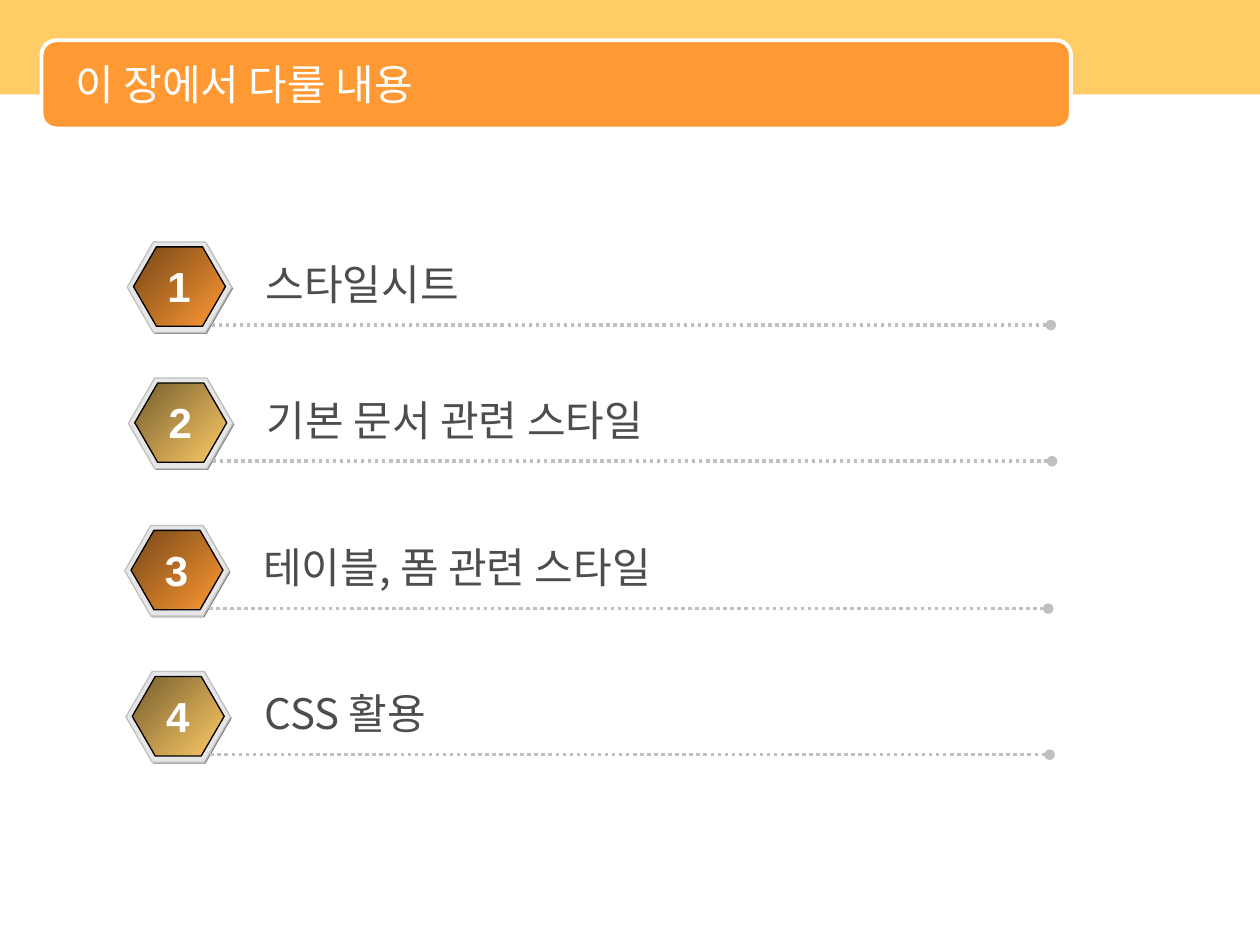
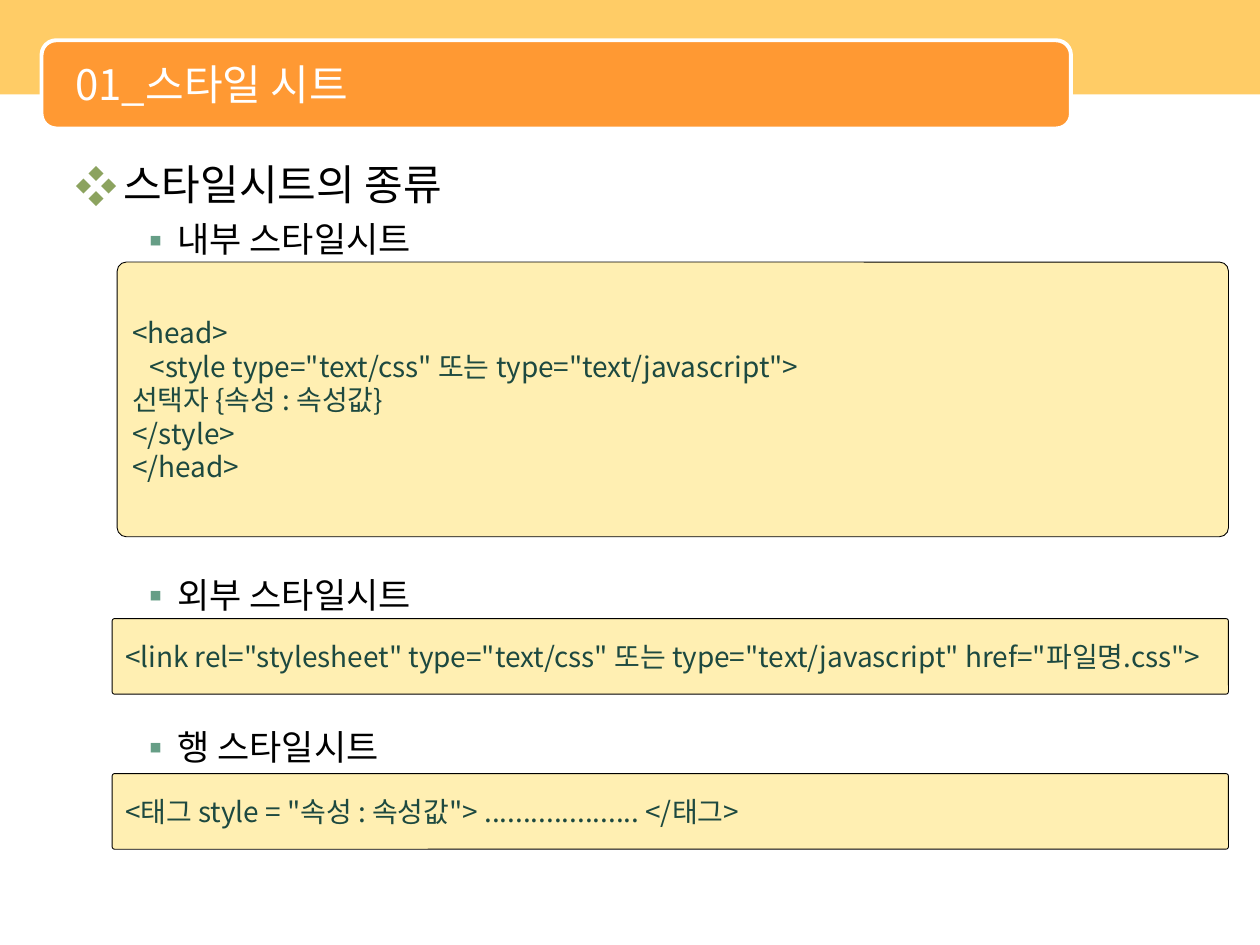
from pptx import Presentation
from pptx.dml.color import RGBColor
from pptx.enum.dml import MSO_LINE
from pptx.enum.shapes import MSO_CONNECTOR, MSO_SHAPE
from pptx.enum.text import MSO_ANCHOR, PP_ALIGN
from pptx.oxml.ns import qn
from pptx.util import Inches, Pt
from lxml.etree import SubElement

# Content
AGENDA_TITLE = "이 장에서 다룰 내용"
AGENDA = [  # topic, left and top of its badge
    ("스타일시트", 1.01, 1.92),
    ("기본 문서 관련 스타일", 1.02, 3.0),
    ("테이블, 폼 관련 스타일", 0.99, 4.17),
    ("CSS 활용", 1.0, 5.33),
]
STYLES_TITLE = "01_스타일 시트"
STYLES_HEADING = "스타일시트의 종류"
STYLE_KINDS = [  # kind, lines down from the previous entry
    ("내부 스타일시트", 1),
    ("외부 스타일시트", 7),
    ("행 스타일시트", 3),
]
CODE_BOXES = [  # box, then code lines with their indent
    ((0.93, 2.08, 8.82, 2.18), [
        ("<head>", 0),
        ('<style type="text/css" 또는 type="text/javascript">', 0.14),
        ("선택자 {속성 : 속성값}", 0),
        ("</style>", 0),
        ("</head>", 0),
    ]),
    ((0.89, 4.91, 8.86, 0.6), [
        ('<link rel="stylesheet" type="text/css" 또는 type="text/javascript" '
         'href="파일명.css">', 0),
    ]),
    ((0.89, 6.14, 8.86, 0.6), [
        ('<태그 style = "속성 : 속성값"> .................... </태그>', 0),
    ]),
]

# Shared look
WHITE = RGBColor(0xFF, 0xFF, 0xFF)
BLACK = RGBColor(0, 0, 0)
YELLOW = RGBColor(0xFF, 0xCC, 0x66)
ORANGE = RGBColor(0xFF, 0x99, 0x33)
DARK_YELLOW = RGBColor(0x76, 0x5E, 0x2F)
DARK_ORANGE = RGBColor(0x76, 0x47, 0x18)
SHADE = RGBColor(0x80, 0x80, 0x80)
RIM = RGBColor(0xE6, 0xE6, 0xE6)
SILVER = RGBColor(0xC0, 0xC0, 0xC0)
TOPIC_GRAY = RGBColor(0x4D, 0x4D, 0x4D)
CODE_FILL = RGBColor(0xFF, 0xCC, 0x00)
CODE_GREEN = RGBColor(0x1D, 0x49, 0x40)
BADGE_GRADIENTS = [(DARK_ORANGE, ORANGE), (DARK_YELLOW, YELLOW)]
KOREAN, LATIN = "Noto Sans CJK KR", "Arial"
LINE_HEIGHT = 1.2
KIND_SIZE, KIND_GAP = 20, 5

TITLE = dict(size=Pt(24), name=KOREAN, color=WHITE)
TOPIC = dict(TITLE, color=TOPIC_GRAY)
NUMBER = dict(TITLE, name=LATIN, bold=True)
HEADING = dict(TITLE, color=BLACK)
KIND = dict(HEADING, size=Pt(KIND_SIZE))
CODE = dict(size=Pt(16), name=KOREAN, color=CODE_GREEN)


def apply_format(target, values):
    for key, value in values.items():
        setattr(target, key, value)


def write(paragraph, text, style, **layout):
    run = paragraph.add_run()
    run.text = text
    apply_format(run.font, {k: v for k, v in style.items() if k != "color"})
    run.font.color.rgb = style["color"]
    SubElement(run.font._element, qn("a:ea"), typeface=style["name"])
    apply_format(paragraph, layout)


def next_paragraph(frame, index):
    return frame.add_paragraph() if index else frame.paragraphs[0]


def add_text(slide, box, **layout):
    frame = slide.shapes.add_textbox(*map(Inches, box)).text_frame
    apply_format(frame, dict(dict(word_wrap=True), **layout))
    return frame


def add_panel(slide, kind, box, fill=None, line=None, weight=0.75, adjust=None):
    panel = slide.shapes.add_shape(kind, *map(Inches, box))
    panel.shadow.inherit = False
    if fill is not None:
        panel.fill.solid()
        panel.fill.fore_color.rgb = fill
    if line is None:
        panel.line.fill.background()
    else:
        panel.line.color.rgb = line
        panel.line.width = Pt(weight)
    if adjust is not None:
        panel.adjustments[0] = adjust
    return panel


def add_titled_slide(deck, title):
    slide = deck.slides.add_slide(deck.slide_layouts[6])
    add_panel(slide, MSO_SHAPE.RECTANGLE, (0, 0, 10, 0.75), YELLOW)
    add_panel(slide, MSO_SHAPE.ROUNDED_RECTANGLE, (0.33, 0.32, 8.17, 0.7),
              ORANGE, WHITE, 2.25, 0.167)
    frame = add_text(slide, (0.5, 0.35, 7.92, 0.62),
                     vertical_anchor=MSO_ANCHOR.MIDDLE)
    write(frame.paragraphs[0], title, TITLE)
    return slide


def add_badge(slide, left, top, gradient):
    hexagon = MSO_SHAPE.HEXAGON
    add_panel(slide, hexagon, (left + 0.01, top + 0.01, 0.83, 0.72), SHADE,
              adjust=0.289)
    add_panel(slide, hexagon, (left, top, 0.83, 0.72), RIM, SILVER, adjust=0.289)
    core = add_panel(slide, hexagon, (left + 0.05, top + 0.04, 0.73, 0.63),
                     line=BLACK, adjust=0.289)
    core.fill.gradient()
    core.fill.gradient_angle = 315
    for stop, color in zip(core.fill.gradient_stops, gradient):
        stop.color.rgb = color


def add_dotted_rule(slide, left, right, y):
    rule = slide.shapes.add_connector(
        MSO_CONNECTOR.STRAIGHT, *map(Inches, (left, y, right, y)))
    rule.line.color.rgb = SILVER
    apply_format(rule.line, dict(width=Pt(2), dash_style=MSO_LINE.ROUND_DOT))
    SubElement(rule.line._get_or_add_ln(), qn("a:tailEnd"), type="oval")
    SubElement(rule._element.spPr, qn("a:effectLst"))


def add_bullet(paragraph, symbol, color, margin, hang):
    props = paragraph._p.get_or_add_pPr()
    props.set("marL", str(Inches(margin)))
    props.set("indent", str(-Inches(hang)))
    SubElement(SubElement(props, qn("a:buClr")), qn("a:srgbClr"), val=color)
    SubElement(props, qn("a:buFont"), typeface=KOREAN)
    SubElement(props, qn("a:buChar"), char=symbol)


def build_agenda(deck):
    slide = add_titled_slide(deck, AGENDA_TITLE)
    for index, (topic, left, top) in enumerate(AGENDA):
        add_badge(slide, left, top, BADGE_GRADIENTS[index % 2])
        add_dotted_rule(slide, left + 0.67, left + 7.33, top + 0.66)
        label = add_text(slide, (left + 1, top + 0.08, 6.25, 0.5),
                         vertical_anchor=MSO_ANCHOR.MIDDLE)
        write(label.paragraphs[0], topic, TOPIC)
        number = add_text(slide, (left + 0.22, top + 0.1, 0.38, 0.5),
                          word_wrap=False)
        write(number.paragraphs[0], str(index + 1), NUMBER,
              alignment=PP_ALIGN.CENTER)


def build_style_kinds(deck):
    slide = add_titled_slide(deck, STYLES_TITLE)

    # Outline, with room left for the code boxes
    outline = add_text(slide, (0.5, 1.21, 9, 5.88))
    heading = outline.paragraphs[0]
    write(heading, STYLES_HEADING, HEADING, line_spacing=Pt(24 * LINE_HEIGHT))
    add_bullet(heading, "❖", "8CA35F", 0.38, 0.38)
    height = KIND_SIZE * LINE_HEIGHT
    for kind, lines_down in STYLE_KINDS:
        entry = outline.add_paragraph()
        write(entry, kind, KIND, line_spacing=Pt(height),
              space_before=Pt(lines_down * (height + KIND_GAP) - height))
        add_bullet(entry, "▪", "669E86", 0.81, 0.31)

    # Code boxes
    for box, lines in CODE_BOXES:
        panel = add_panel(slide, MSO_SHAPE.ROUNDED_RECTANGLE, box, CODE_FILL,
                          BLACK, 0.5, 0.033)
        color = panel.fill._xPr.find(qn("a:solidFill"))[0]
        SubElement(color, qn("a:alpha"), val="30000")
        frame = panel.text_frame
        apply_format(frame, dict(word_wrap=False,
                                 vertical_anchor=MSO_ANCHOR.MIDDLE))
        for index, (code, indent) in enumerate(lines):
            line = next_paragraph(frame, index)
            write(line, code, CODE, alignment=PP_ALIGN.LEFT,
                  line_spacing=Pt(16 * LINE_HEIGHT))
            line._p.get_or_add_pPr().set("marL", str(Inches(indent)))


def main():
    deck = Presentation()
    apply_format(deck, dict(slide_width=Inches(10), slide_height=Inches(7.5)))
    build_agenda(deck)
    build_style_kinds(deck)
    deck.save("out.pptx")


if __name__ == "__main__":
    main()
